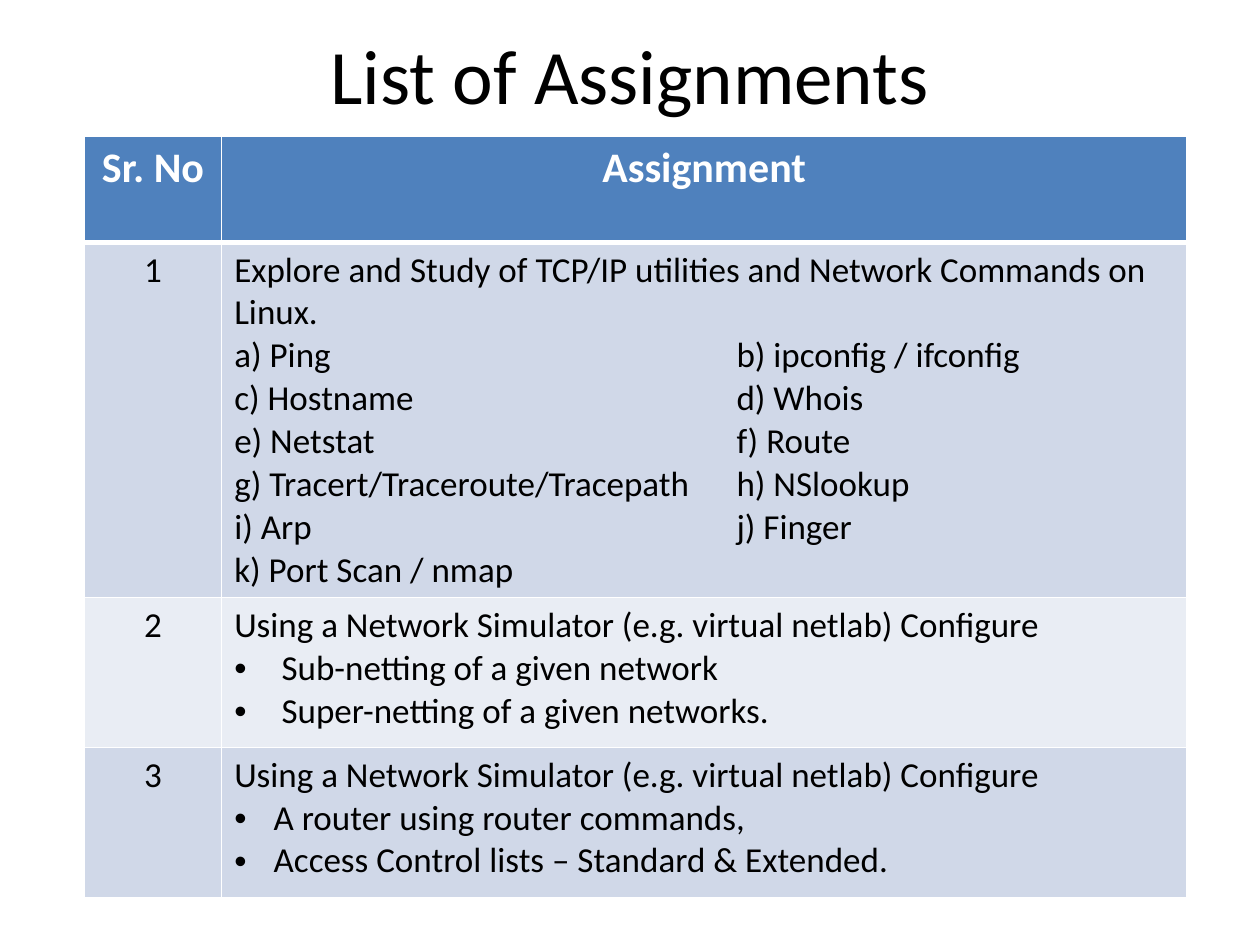
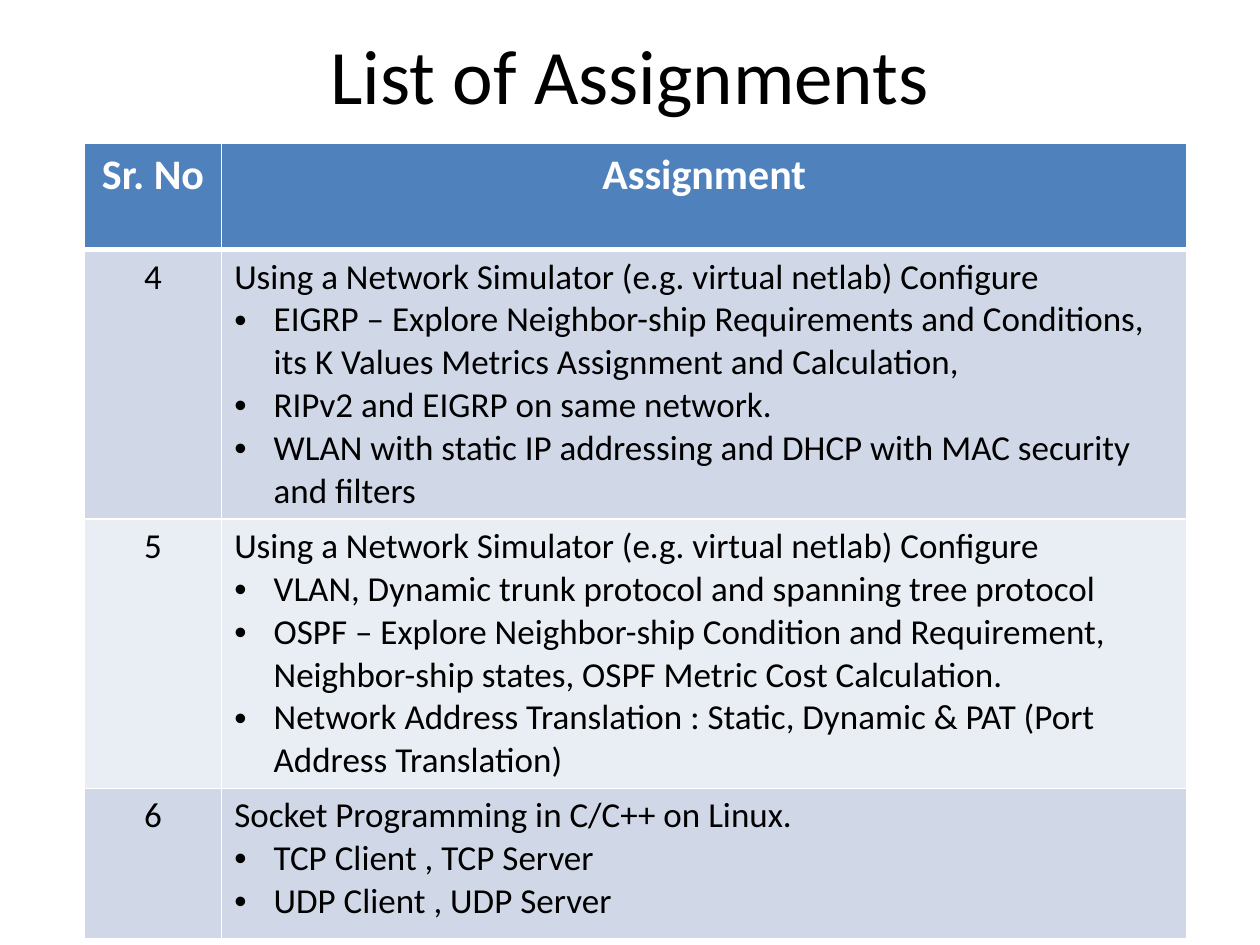
from pptx import Presentation
from pptx import util as u
from pptx.dml import color
from pptx.enum import text
from pptx.oxml import ns
from lxml import etree

COLORS = {"ink": "000000", "paper": "FFFFFF", "header": "4F81BD",
          "band_dark": "D0D8E8", "band_light": "E9EDF4"}
FONT = "Calibri"
TITLE_BOX = (54, 6, 612, 72)
TABLE_LEFT = 48.2
COLUMN_WIDTHS = (78.5, 551.5)
HEADER_HEIGHT = 60.5
HANGING = 22.5
WIDE_HANGING = 27
UTILITY_TAB = 287
SIMULATOR = "Using a Network Simulator (e.g. virtual netlab) Configure"

UTILITIES = [
    ("a) Ping", "b) ipconfig / ifconfig"),
    ("c) Hostname", "d) Whois"),
    ("e) Netstat", "f) Route"),
    ("g) Tracert/Traceroute/Tracepath", "h) NSlookup"),
    ("i) Arp", "j) Finger"),
    ("k) Port Scan / nmap",),
]

SLIDES = [
    {"top": 78, "assignments": [
        {"height": 203, "utilities": UTILITIES,
         "intro": "Explore and Study of TCP/IP utilities and Network Commands on Linux."},
        {"height": 85.7, "intro": SIMULATOR, "hanging": WIDE_HANGING,
         "tasks": ["Sub-netting of a given network",
                   "Super-netting of a given networks."]},
        {"height": 85.7, "intro": SIMULATOR,
         "tasks": ["A router using router commands,",
                   "Access Control lists – Standard & Extended."]},
    ]},
    {"top": 82, "assignments": [
        {"height": 154, "intro": SIMULATOR,
         "tasks": ["EIGRP – Explore Neighbor-ship Requirements and Conditions, "
                   "its K Values Metrics Assignment and Calculation,",
                   "RIPv2 and EIGRP on same network.",
                   "WLAN with static IP addressing and DHCP with MAC security and filters"]},
        {"height": 154, "intro": SIMULATOR,
         "tasks": ["VLAN, Dynamic trunk protocol and spanning tree protocol",
                   "OSPF – Explore Neighbor-ship Condition and Requirement, "
                   "Neighbor-ship states, OSPF Metric Cost Calculation.",
                   "Network Address Translation : Static, Dynamic & PAT "
                   "(Port Address Translation)"]},
        {"height": 85.7, "intro": "Socket Programming in C/C++ on Linux.",
         "tasks": ["TCP Client , TCP Server", "UDP Client , UDP Server"]},
    ]},
]


def rgb(name):
    return color.RGBColor.from_string(COLORS[name])


def add_xml(parent, tag, **attributes):
    return etree.SubElement(parent, ns.qn(tag), attributes)


def style(paragraph, size, ink="ink", bold=False, centred=False):
    paragraph.alignment = text.PP_ALIGN.CENTER if centred else text.PP_ALIGN.LEFT
    paragraph.font.name = FONT
    paragraph.font.size = u.Pt(size)
    paragraph.font.bold = bold
    paragraph.font.color.rgb = rgb(ink)


def add_bullet(paragraph, hanging):
    properties = paragraph._p.get_or_add_pPr()
    properties.set("marL", str(u.Pt(hanging)))
    properties.set("indent", str(-u.Pt(hanging)))
    add_xml(properties, "a:buFont", typeface="Arial")
    add_xml(properties, "a:buChar", char="•")


def add_tab(paragraph, position):
    stops = add_xml(paragraph._p.get_or_add_pPr(), "a:tabLst")
    add_xml(stops, "a:tab", pos=str(u.Pt(position)), algn="l")


def paint_cell(cell, fill, top=1, bottom=1):
    properties = cell._tc.get_or_add_tcPr()
    for side, width in (("L", 1), ("R", 1), ("T", top), ("B", bottom)):
        line = add_xml(properties, f"a:ln{side}", w=str(u.Pt(width)))
        add_xml(add_xml(line, "a:solidFill"), "a:srgbClr", val=COLORS["paper"])
    cell.fill.solid()
    cell.fill.fore_color.rgb = rgb(fill)


def add_title(slide, box):
    frame = slide.shapes.add_textbox(*map(u.Pt, box)).text_frame
    frame.word_wrap = True
    frame.vertical_anchor = text.MSO_ANCHOR.MIDDLE
    heading = frame.paragraphs[0]
    heading.text = "List of Assignments"
    style(heading, 44, centred=True)


def write_assignment(frame, assignment):
    intro = frame.paragraphs[0]
    intro.text = assignment["intro"]
    style(intro, 20)
    for pair in assignment.get("utilities", []):
        utility = frame.add_paragraph()
        utility.text = "\t".join(pair)
        add_tab(utility, UTILITY_TAB)
        style(utility, 20)
    for wording in assignment.get("tasks", []):
        task = frame.add_paragraph()
        task.text = wording
        add_bullet(task, assignment.get("hanging", HANGING))
        style(task, 20)


def add_assignment_table(slide, left, top, assignments, first_number):
    heights = [HEADER_HEIGHT] + [a["height"] for a in assignments]
    box = (left, top, sum(COLUMN_WIDTHS), sum(heights))
    table = slide.shapes.add_table(len(heights), 2, *map(u.Pt, box)).table
    for column, width in zip(table.columns, COLUMN_WIDTHS):
        column.width = u.Pt(width)
    for row, height in zip(table.rows, heights):
        row.height = u.Pt(height)

    for column, label in enumerate(("Sr. No", "Assignment")):
        header = table.cell(0, column)
        paint_cell(header, "header", bottom=3)
        header.text = label
        style(header.text_frame.paragraphs[0], 24, "paper", True, True)

    for row, assignment in enumerate(assignments, 1):
        number, details = table.cell(row, 0), table.cell(row, 1)
        for cell in (number, details):
            paint_cell(cell, "band_dark" if row % 2 else "band_light",
                       top=3 if row == 1 else 1)
        number.text = str(first_number + row - 1)
        style(number.text_frame.paragraphs[0], 20, centred=True)
        write_assignment(details.text_frame, assignment)


def main():
    deck = Presentation()
    deck.slide_width, deck.slide_height = u.Pt(720), u.Pt(540)
    first_number = 1
    for content in SLIDES:
        slide = deck.slides.add_slide(deck.slide_layouts[6])
        add_title(slide, TITLE_BOX)
        add_assignment_table(slide, TABLE_LEFT, content["top"],
                             content["assignments"], first_number)
        first_number += len(content["assignments"])
    deck.save("out.pptx")


if __name__ == "__main__":
    main()
